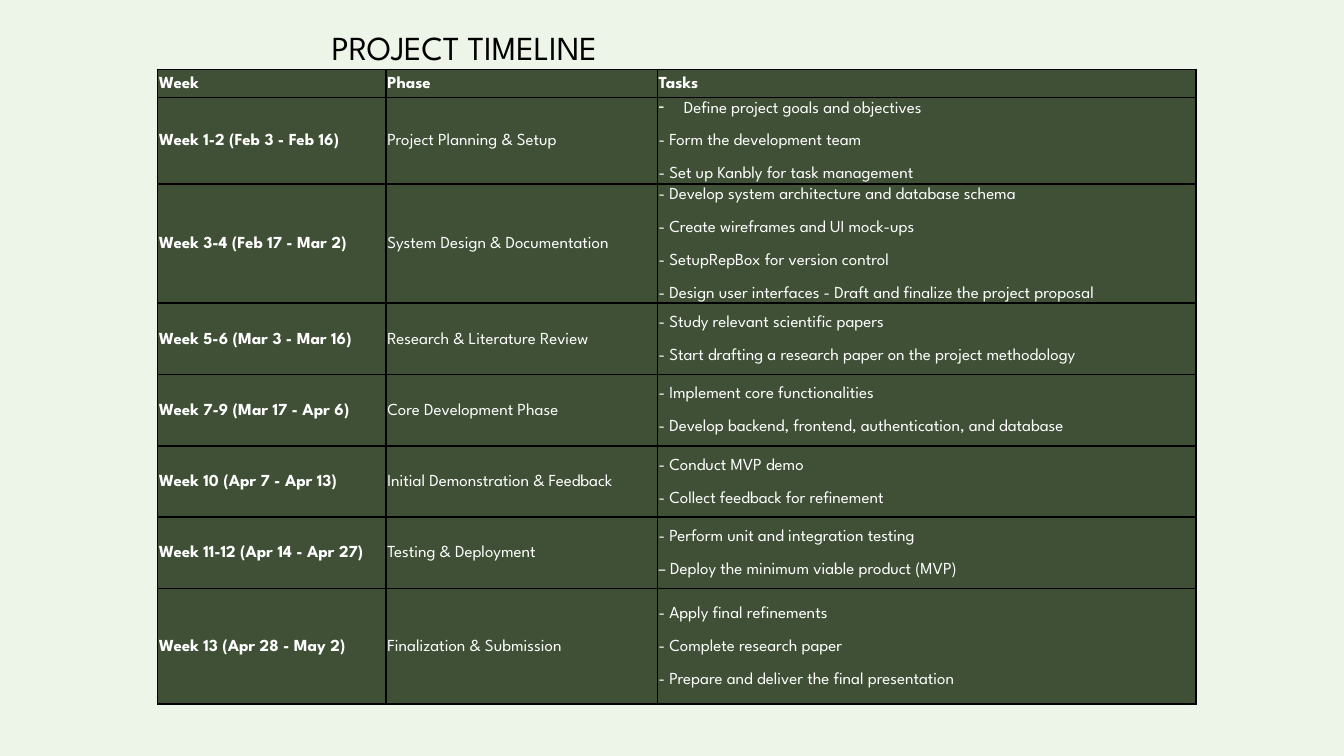
"""Build a project timeline slide with a table of weeks, phases and tasks."""
import pptx
import pptx.dml.color
import pptx.enum.text
import pptx.oxml
import pptx.oxml.ns
import pptx.util

Pt = pptx.util.Pt
RGBColor = pptx.dml.color.RGBColor

MINT = RGBColor(0xED, 0xF4, 0xE8)
GREEN = RGBColor(0x40, 0x50, 0x37)
WHITE = RGBColor(0xFF, 0xFF, 0xFF)
BLACK = RGBColor(0x00, 0x00, 0x00)

COL_WIDTHS = [122.4, 145.4, 288.7]
ROW_HEIGHTS = [15.1, 38.2, 61.9, 38.2, 38.2, 38.2, 38.2, 61.9]
ROWS = [
    ("Week", "Phase", ["Tasks"]),
    ("Week 1-2 (Feb 3 - Feb 16)", "Project Planning & Setup", [
        "Define project goals and objectives",
        "- Form the development team",
        "- Set up Kanbly for task management"]),
    ("Week 3-4 (Feb 17 - Mar 2)", "System Design & Documentation", [
        "- Develop system architecture and database schema",
        "- Create wireframes and UI mock-ups",
        "- SetupRepBox for version control",
        "- Design user interfaces - Draft and finalize the project proposal"]),
    ("Week 5-6 (Mar 3 - Mar 16)", "Research & Literature Review", [
        "- Study relevant scientific papers",
        "- Start drafting a research paper on the project methodology"]),
    ("Week 7-9 (Mar 17 - Apr 6)", "Core Development Phase", [
        "- Implement core functionalities",
        "- Develop backend, frontend, authentication, and database"]),
    ("Week 10 (Apr 7 - Apr 13)", "Initial Demonstration & Feedback", [
        "- Conduct MVP demo",
        "- Collect feedback for refinement"]),
    ("Week 11-12 (Apr 14 - Apr 27)", "Testing & Deployment", [
        "- Perform unit and integration testing",
        "– Deploy the minimum viable product (MVP)"]),
    ("Week 13 (Apr 28 - May 2)", "Finalization & Submission", [
        "- Apply final refinements",
        "- Complete research paper",
        "- Prepare and deliver the final presentation"]),
]


def apply(obj, values):
    for name, value in values.items():
        setattr(obj, name, value)


class Deck:
    font = "League Spartan"
    cell_format = {
        "vertical_anchor": pptx.enum.text.MSO_ANCHOR.MIDDLE,
        "margin_left": Pt(0.7), "margin_right": Pt(0.7),
        "margin_top": Pt(0.7), "margin_bottom": Pt(0.7),
    }
    cell_paragraph = {"line_spacing": 1.15, "space_after": Pt(8)}

    def __init__(self, width, height):
        self.prs = pptx.Presentation()
        apply(self.prs, {"slide_width": Pt(width), "slide_height": Pt(height)})
        self.s = self.prs.slides.add_slide(self.prs.slide_layouts[6])
        fill = self.s.background.fill
        fill.solid()
        fill.fore_color.rgb = MINT

    def run(self, p, text, size, color, bold=False):
        r = p.add_run()
        r.text = text
        apply(r.font, {"name": self.font, "size": Pt(size), "bold": bold})
        r.font.color.rgb = color

    def text(self, text, left, top, width, height, size, color):
        sp = self.s.shapes.add_textbox(Pt(left), Pt(top), Pt(width), Pt(height))
        tf = sp.text_frame
        apply(tf, {"word_wrap": True,
                   "auto_size": pptx.enum.text.MSO_AUTO_SIZE.SHAPE_TO_FIT_TEXT})
        self.run(tf.paragraphs[0], text, size, color)

    def borders(self, cell):
        tcPr = cell._tc.get_or_add_tcPr()
        for side in "LRTB":
            tcPr.append(pptx.oxml.parse_xml(
                f'<a:ln{side} {pptx.oxml.ns.nsdecls("a")} w="{Pt(1)}"><a:solidFill>'
                f'<a:srgbClr val="{BLACK}"/></a:solidFill></a:ln{side}>'))

    def bullet(self, p, char, indent):
        pPr = p._p.get_or_add_pPr()
        pPr.set("marL", str(Pt(indent)))
        pPr.set("indent", str(-Pt(indent)))
        pPr.append(pptx.oxml.parse_xml(
            f'<a:buChar {pptx.oxml.ns.nsdecls("a")} char="{char}"/>'))

    def cell(self, cell, lines, bold):
        apply(cell, self.cell_format)
        self.borders(cell)
        cell.fill.solid()
        cell.fill.fore_color.rgb = GREEN
        tf = cell.text_frame
        for i, line in enumerate(lines):
            p = tf.add_paragraph() if i else tf.paragraphs[0]
            apply(p, self.cell_paragraph)
            self.run(p, line, 9, WHITE, bold)

    def table(self, rows, left, top, widths, heights):
        table = self.s.shapes.add_table(
            len(rows), len(widths), Pt(left), Pt(top),
            Pt(sum(widths)), Pt(sum(heights))).table
        apply(table, {"first_row": False, "horz_banding": False})
        for col, width in zip(table.columns, widths):
            col.width = Pt(width)
        for i, (week, phase, tasks) in enumerate(rows):
            table.rows[i].height = Pt(heights[i])
            for j, lines in enumerate(([week], [phase], tasks)):
                self.cell(table.cell(i, j), lines, bold=i == 0 or j == 0)
        return table


def main():
    deck = Deck(720, 405)
    table = deck.table(ROWS, 84.4, 37.2, COL_WIDTHS, ROW_HEIGHTS)
    deck.bullet(table.cell(1, 2).text_frame.paragraphs[0], "-", 13.5)
    deck.text("PROJECT TIMELINE", 170.6, 10.8, 175.7, 28.8, 18, BLACK)
    deck.prs.save("out.pptx")


if __name__ == "__main__":
    main()
